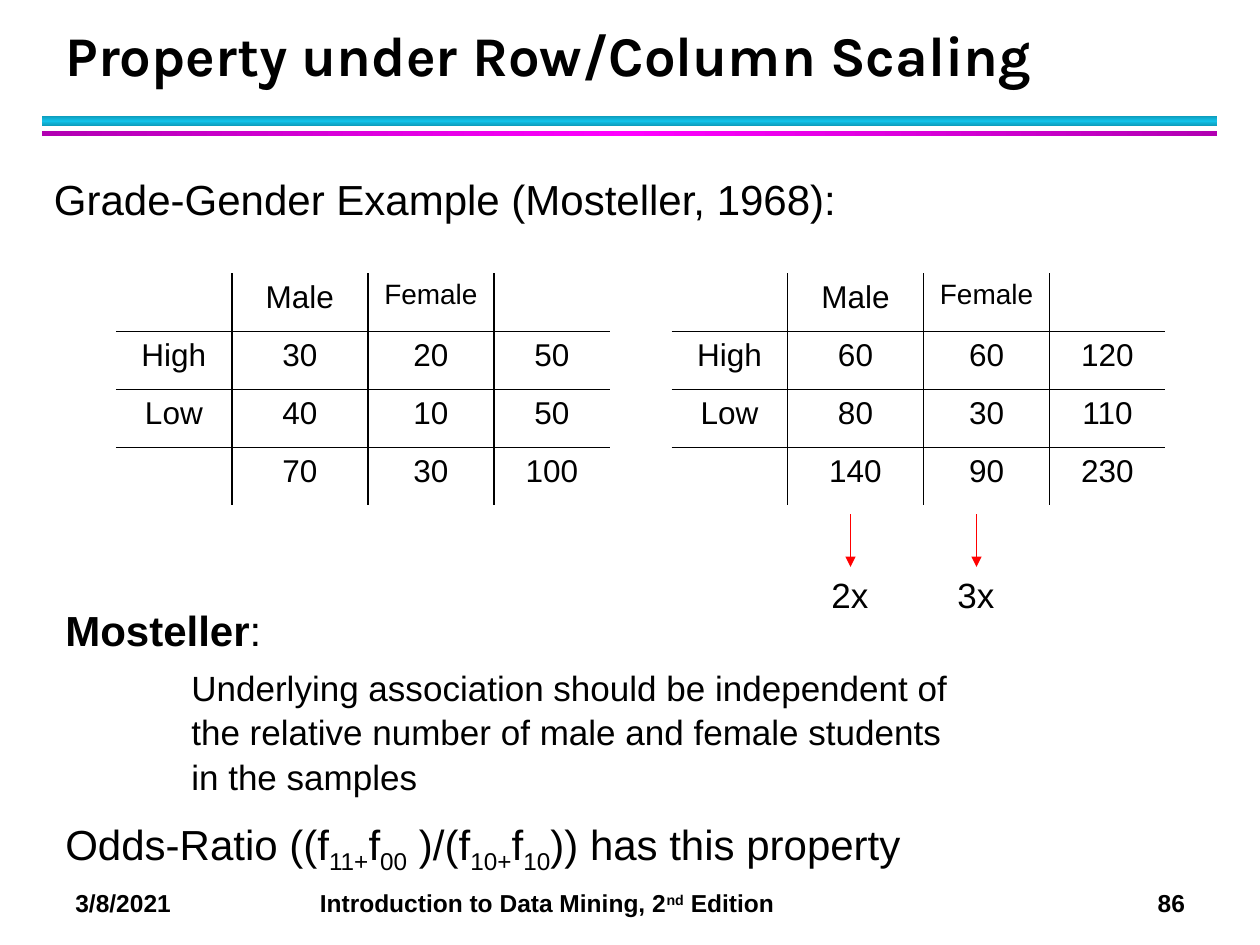
import pptx
import pptx.dml.color
import pptx.enum.shapes
import pptx.enum.text
import pptx.oxml
import pptx.oxml.ns
import pptx.util
from lxml import etree

Inches = pptx.util.Inches
Pt = pptx.util.Pt
A = pptx.oxml.ns.nsdecls("a")
BLACK, RED = "000000", "FF0000"
BODY_FONT, TITLE_FONT = "Arial", "Karla"


def color(hex_value):
    return pptx.dml.color.RGBColor.from_string(hex_value)


def box(left, top, width, height):
    return Inches(left), Inches(top), Inches(width), Inches(height)


class SlideBuilder:
    """Holds the text style and the current slide."""

    style = {"name": BODY_FONT, "size": Pt(24), "bold": False}

    def __init__(self, presentation):
        self.slide = presentation.slides.add_slide(presentation.slide_layouts[5])

    def format_font(self, font, **changes):
        for name, value in {**self.style, **changes}.items():
            setattr(font, name, value)
        font.color.rgb = color(BLACK)

    def add_run(self, paragraph, text, baseline=0, **changes):
        """Baseline is a percentage: negative for subscript."""
        run = paragraph.add_run()
        run.text = text
        self.format_font(run.font, **changes)
        if baseline:
            run.font._element.set("baseline", str(baseline * 1000))

    def title(self, text, place):
        shape = self.slide.shapes.title
        shape.left, shape.top, shape.width, shape.height = box(*place)
        frame = shape.text_frame
        frame.vertical_anchor = pptx.enum.text.MSO_ANCHOR.BOTTOM
        paragraph = frame.paragraphs[0]
        paragraph.alignment = pptx.enum.text.PP_ALIGN.LEFT
        paragraph.line_spacing = 1.12
        self.add_run(paragraph, text, name=TITLE_FONT, size=Pt(32), bold=True)

    def gradient_bar(self, place, edge, middle, angle):
        shape = self.slide.shapes.add_shape(
            pptx.enum.shapes.MSO_SHAPE.RECTANGLE, *box(*place))
        shape.shadow.inherit = False
        shape.line.fill.background()
        shape.fill.gradient()
        shape.fill.gradient_angle = angle
        stops = shape._element.spPr.find(".//" + pptx.oxml.ns.qn("a:gsLst"))
        for stop in list(stops):
            stops.remove(stop)
        for position, value in ((0, edge), (50, middle), (100, edge)):
            stops.append(pptx.oxml.parse_xml(
                f'<a:gs {A} pos="{position * 1000}"><a:srgbClr val="{value}"/></a:gs>'))

    def text_box(self, place):
        frame = self.slide.shapes.add_textbox(*box(*place)).text_frame
        frame.word_wrap = True
        return frame

    def label(self, text, place, size):
        paragraph = self.text_box(place).paragraphs[0]
        self.add_run(paragraph, text, size=Pt(size))

    def tabbed_line(self, place, tab_stops):
        """Return an empty paragraph with left tab stops at the given inches."""
        paragraph = self.text_box(place).paragraphs[0]
        tabs = etree.SubElement(paragraph._p.get_or_add_pPr(), pptx.oxml.ns.qn("a:tabLst"))
        for stop in tab_stops:
            etree.SubElement(tabs, pptx.oxml.ns.qn("a:tab"), pos=str(Inches(stop)), algn="l")
        return paragraph

    def inner_borders(self, cell, outer_sides):
        """Rule every side of the cell except those on the table's edge."""
        properties = cell._tc.get_or_add_tcPr()
        for index, side in enumerate("LRTB"):
            fill = ("<a:noFill/>" if side in outer_sides
                    else f'<a:solidFill><a:srgbClr val="{BLACK}"/></a:solidFill>')
            properties.insert(index, pptx.oxml.parse_xml(
                f'<a:ln{side} {A} w="{Pt(1)}">{fill}</a:ln{side}>'))

    def table(self, left, top, rows, widths, row_height):
        last_row, last_column = len(rows) - 1, len(widths) - 1
        table = self.slide.shapes.add_table(
            len(rows), len(widths),
            *box(left, top, sum(widths), row_height * len(rows))).table
        table.first_row = table.horz_banding = False
        for column, width in zip(table.columns, widths):
            column.width = Inches(width)
        for r, row in enumerate(rows):
            table.rows[r].height = Inches(row_height)
            for c, text in enumerate(row):
                cell = table.cell(r, c)
                cell.fill.background()
                outer = {"L": c == 0, "R": c == last_column, "T": r == 0, "B": r == last_row}
                self.inner_borders(cell, [side for side in outer if outer[side]])
                if text:
                    paragraph = cell.text_frame.paragraphs[0]
                    paragraph.alignment = pptx.enum.text.PP_ALIGN.CENTER
                    self.add_run(paragraph, text, size=Pt(16 if text == "Female" else 18))

    def down_arrow(self, x, top, bottom):
        connector = self.slide.shapes.add_connector(
            pptx.enum.shapes.MSO_CONNECTOR.STRAIGHT,
            Inches(x), Inches(top), Inches(x), Inches(bottom))
        connector.line.color.rgb = color(RED)
        connector.line.width = Pt(1)
        etree.SubElement(connector.line._get_or_add_ln(),
                         pptx.oxml.ns.qn("a:tailEnd"), type="triangle")
        etree.SubElement(connector._element.spPr, pptx.oxml.ns.qn("a:effectLst"))


def grade_rows(high, low):
    """Contingency table of grade by gender with its totals."""
    totals = [h + l for h, l in zip(high, low)]
    rows = [["", "Male", "Female", ""]]
    for name, counts in (("High", high), ("Low", low), ("", totals)):
        rows.append([name, *map(str, counts), str(sum(counts))])
    return rows


def main():
    presentation = pptx.Presentation()
    presentation.slide_width, presentation.slide_height = Inches(10), Inches(7.5)
    builder = SlideBuilder(presentation)

    builder.gradient_bar((0.33, 0.92, 9.33, 0.08), "0E9BBA", "12C2E9", 90)
    builder.gradient_bar((0.33, 1.04, 9.33, 0.04), "B200B2", "FF00FF", 0)
    builder.title("Property under Row/Column Scaling", (0.42, 0.17, 9.06, 0.58))
    builder.label("Grade-Gender Example (Mosteller, 1968):", (0.33, 1.33, 8.42, 0.5), 24)

    male, female = (30, 40), (20, 10)
    for left, male_factor, female_factor in ((0.92, 1, 1), (5.33, 2, 3)):
        high, low = ((m * male_factor, f * female_factor) for m, f in zip(male, female))
        builder.table(left, 2.17, grade_rows(high, low), (0.92, 1.08, 1, 0.92), 0.46)

    for x, factor in ((6.75, "2x"), (7.75, "3x")):
        builder.down_arrow(x, 4.08, 4.5)
        builder.label(factor, (x - 0.25, 4.5, 0.67, 0.43), 20)

    frame = builder.text_box((0.42, 4.75, 8.42, 2.2))
    heading = frame.paragraphs[0]
    builder.add_run(heading, "Mosteller", bold=True)
    builder.add_run(heading, ":")

    statement = frame.add_paragraph()
    statement._p.get_or_add_pPr().set("marL", str(Inches(1)))
    statement.space_before = Pt(5)
    statement.line_spacing = 1.06
    lines = ("Underlying association should be independent of",
             "the relative number of male and female students",
             "in the samples")
    for index, line in enumerate(lines):
        if index:
            statement.add_line_break()
        builder.add_run(statement, line, size=Pt(20))

    odds_ratio = frame.add_paragraph()
    odds_ratio.space_before = Pt(12)
    for text, subscript in (("Odds-Ratio ((f", "11+"), ("f", "00"), (" )/(f", "10+"), ("f", "10")):
        builder.add_run(odds_ratio, text)
        builder.add_run(odds_ratio, subscript, baseline=-25)
    builder.add_run(odds_ratio, ")) has this property")

    footer = builder.tabbed_line((0.5, 7, 9.33, 0.34), (1.94, 8.59))
    for text, baseline in (("3/8/2021\tIntroduction to Data Mining, 2", 0), ("nd", 30),
                           (" Edition\t86", 0)):
        builder.add_run(footer, text, baseline, size=Pt(14), bold=True)

    presentation.save("out.pptx")


if __name__ == "__main__":
    main()
